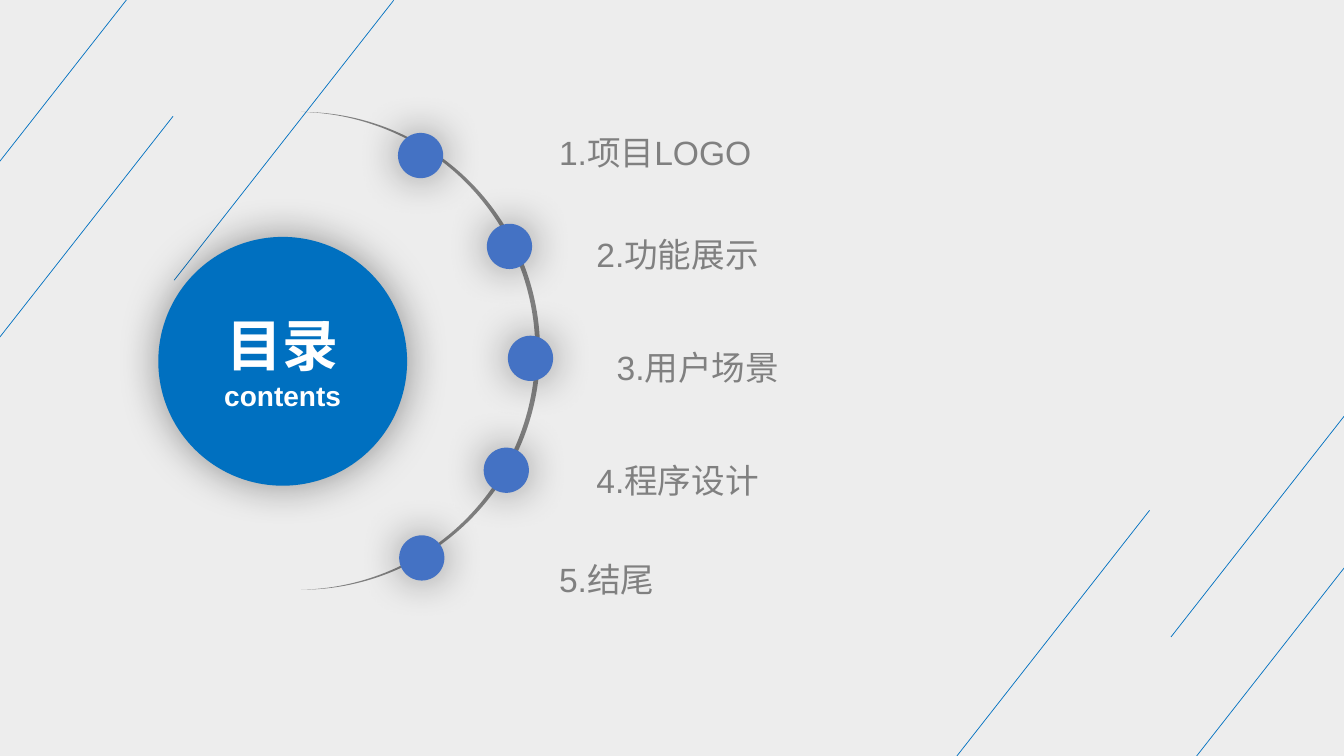
from dataclasses import dataclass

from lxml import etree
from pptx import Presentation
from pptx import util as u
from pptx.dml import color as clr
from pptx.enum import shapes, text
from pptx.oxml import ns

HUES = {"blue": "0070C0", "dot": "4472C4", "gray": "808080",
        "back": "D9D9D9", "white": "FFFFFF", "black": "000000"}
WIDE, HIGH = 33.87, 19.05
RUN, RISE = 5.53, 7.05  # shared span of the slanted lines
DOT = 1.14


@dataclass
class Line:
    x: float
    y: float


@dataclass
class Item:
    label: str
    x: float
    y: float
    width: float
    dot_x: float
    dot_y: float


LINES = [Line(23.44, 19.91), Line(29.51, 16.05), Line(-1.17, 9.98),
         Line(4.39, 7.06), Line(28.98, 20.55), Line(0, 4.06)]
ITEMS = [Item("项目LOGO", 13.84, 2.69, 14.96, 10.03, 3.35),
         Item("功能展示", 14.78, 5.26, 12.19, 12.27, 5.64),
         Item("用户场景", 15.29, 8.1, 12.19, 12.8, 8.46),
         Item("程序设计", 14.78, 10.95, 12.19, 12.19, 11.28),
         Item("结尾", 13.84, 13.44, 12.19, 10.06, 13.49)]


def rgb(hue: str):
    return clr.RGBColor.from_string(HUES[hue])


def add_node(parent, tag: str, **attrs):
    node = etree.SubElement(parent, ns.qn(tag))
    for key, val in attrs.items():
        node.set(key, str(val))
    return node


def add_form(slide, kind, x: float, y: float, w: float, h: float,
             hue: str, glow: bool = False):
    form = slide.shapes.add_shape(kind, u.Cm(x), u.Cm(y), u.Cm(w), u.Cm(h))
    form.fill.solid()
    form.fill.fore_color.rgb = rgb(hue)
    form.line.fill.background()
    form.shadow.inherit = False
    if glow:
        effects = form._element.spPr.find(ns.qn("a:effectLst"))
        shade = add_node(effects, "a:outerShdw", blurRad=u.Pt(30), dist=0,
                         dir=0, algn="ctr", rotWithShape=0)
        tint = add_node(shade, "a:srgbClr", val=HUES["black"])
        add_node(tint, "a:alpha", val=40000)
    return form


def add_line(slide, line: Line) -> None:
    rule = slide.shapes.add_connector(
        shapes.MSO_CONNECTOR.STRAIGHT, u.Cm(line.x), u.Cm(line.y),
        u.Cm(line.x + RUN), u.Cm(line.y - RISE))
    rule.line.color.rgb = rgb("blue")
    rule.line.width = u.Pt(0.5)
    add_node(rule._element.spPr, "a:effectLst")


def write(para, words: str, hue: str, style: dict) -> None:
    run = para.add_run()
    run.text = words
    run.font.color.rgb = rgb(hue)
    for key, val in {"name": "Arial", **style}.items():
        setattr(run.font, key, val)


def add_label(slide, num: int, item: Item) -> None:
    box = slide.shapes.add_textbox(u.Cm(item.x), u.Cm(item.y),
                                   u.Cm(item.width), u.Cm(1.63))
    frame = box.text_frame
    style = {"word_wrap": True, "auto_size": text.MSO_AUTO_SIZE.SHAPE_TO_FIT_TEXT}
    for key, val in style.items():
        setattr(frame, key, val)
    para = frame.paragraphs[0]
    para.line_spacing = 1.5
    write(para, f"{num}.{item.label}", "gray", {"size": u.Pt(24)})


def add_title(slide) -> None:
    disc = add_form(slide, shapes.MSO_SHAPE.OVAL, 3.99, 5.97, 6.27, 6.27,
                    "blue", glow=True)
    frame = disc.text_frame
    frame.vertical_anchor = text.MSO_ANCHOR.MIDDLE
    paras = [frame.paragraphs[0], frame.add_paragraph()]
    for para, words, size in zip(paras, ("目录", "contents"), (40, 20)):
        para.alignment = text.PP_ALIGN.CENTER
        write(para, words, "white", {"size": u.Pt(size), "bold": True})


def main() -> None:
    deck = Presentation()
    deck.slide_width, deck.slide_height = u.Cm(WIDE), u.Cm(HIGH)
    slide = deck.slides.add_slide(deck.slide_layouts[6])

    # Backdrop and slanted lines
    back = add_form(slide, shapes.MSO_SHAPE.RECTANGLE, 0, 0, WIDE, HIGH, "back")
    tint = back._element.spPr.find(ns.qn("a:solidFill"))[0]
    add_node(tint, "a:alpha", val=46000)
    for line in LINES:
        add_line(slide, line)

    # Contents list
    for num, item in enumerate(ITEMS, 1):
        add_label(slide, num, item)

    # Title disc, arc and dots
    add_title(slide)
    arc = add_form(slide, shapes.MSO_SHAPE.MOON, 7.59, 2.82, 6.02, 12.04, "gray")
    arc.rotation = 180
    arc.adjustments[0] = 0.02
    for item in ITEMS:
        add_form(slide, shapes.MSO_SHAPE.OVAL, item.dot_x, item.dot_y,
                 DOT, DOT, "dot", glow=True)

    deck.save("out.pptx")


if __name__ == "__main__":
    main()
